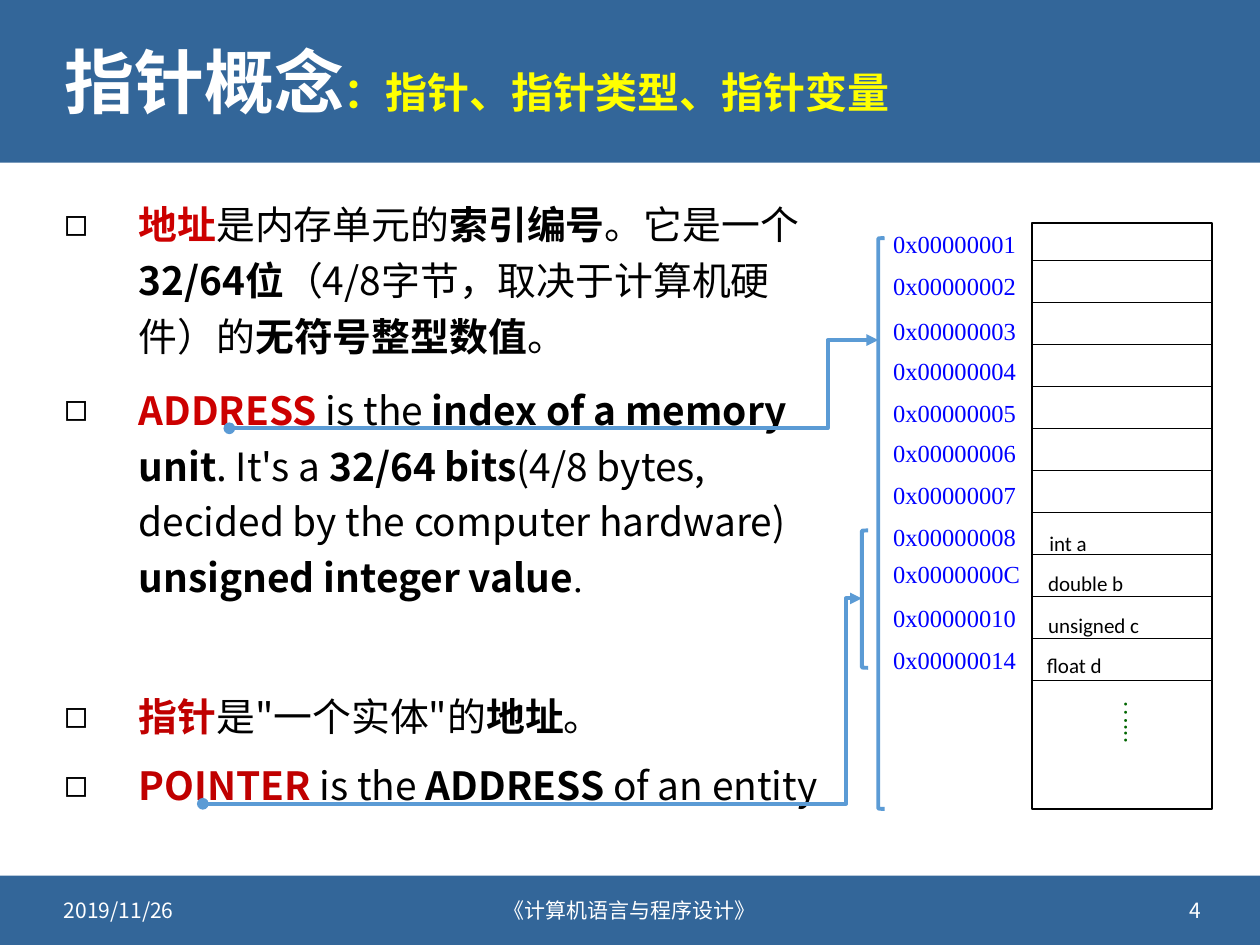
"""Build the slide on pointers, pointer types and pointer variables."""
from dataclasses import dataclass

from lxml import etree
from pptx import Presentation
from pptx.dml.color import RGBColor
from pptx.enum.shapes import MSO_CONNECTOR, MSO_SHAPE
from pptx.enum.text import MSO_ANCHOR, MSO_AUTO_SIZE, PP_ALIGN
from pptx.oxml.ns import qn
from pptx.util import Inches, Pt

RECTANGLE, BRACKET = MSO_SHAPE.RECTANGLE, MSO_SHAPE.LEFT_BRACKET
STRAIGHT, ELBOW = MSO_CONNECTOR.STRAIGHT, MSO_CONNECTOR.ELBOW
TOP, MIDDLE = MSO_ANCHOR.TOP, MSO_ANCHOR.MIDDLE
LEFT, CENTER, RIGHT = PP_ALIGN.LEFT, PP_ALIGN.CENTER, PP_ALIGN.RIGHT
NO_AUTOFIT = MSO_AUTO_SIZE.NONE

BAND_BLUE = RGBColor(0x33, 0x66, 0x99)
BRACKET_BLUE = RGBColor(0x5B, 0x9B, 0xD5)
ADDRESS_BLUE = RGBColor(0x00, 0x00, 0xFF)
WHITE = RGBColor(0xFF, 0xFF, 0xFF)
BLACK = RGBColor(0x00, 0x00, 0x00)
YELLOW = RGBColor(0xFF, 0xFF, 0x00)
RED = RGBColor(0xCC, 0x00, 0x00)
DARK_RED = RGBColor(0xC0, 0x00, 0x00)
GREEN = RGBColor(0x00, 0x66, 0x00)
SANS, SERIF, LABEL = "Noto Sans CJK SC", "Times New Roman", "Calibri"


@dataclass
class Style:
    size: float
    color: RGBColor
    name: str = SANS
    bold: bool = False


@dataclass
class Bullet:
    runs: list
    line_spacing: float
    space_before: float


@dataclass
class Label:
    text: str
    left: float
    top: float
    width: float
    height: float
    style: Style
    align: PP_ALIGN = LEFT
    anchor: MSO_ANCHOR = TOP


@dataclass
class Pointer:
    bracket: tuple
    start: tuple
    end: tuple
    bend: int


PLAIN = Style(22.2, BLACK)
STRONG = Style(22.2, BLACK, bold=True)
KEY = Style(22.2, RED, bold=True)
DARK_KEY = Style(22.2, DARK_RED, bold=True)
FOOTER = Style(12, WHITE)
ADDRESS = Style(14, ADDRESS_BLUE, SERIF)
VARIABLE = Style(12, BLACK, LABEL)

TITLE = [("指针概念", Style(40, WHITE, bold=True)),
         ("：指针、指针类型、指针变量", Style(24, YELLOW, bold=True))]
BULLETS = [
    Bullet([("地址", KEY), ("是内存单元的", PLAIN), ("索引编号", STRONG),
            ("。它是一个", PLAIN), ("32/64位", STRONG),
            ("（4/8字节，取决于计算机硬件）的", PLAIN),
            ("无符号整型数值", STRONG), ("。", PLAIN)], 1.2, 0),
    Bullet([("ADDRESS ", KEY), ("is the ", PLAIN),
            ("index of a memory unit", STRONG), (". It's a ", PLAIN),
            ("32/64 bits", STRONG),
            ("(4/8 bytes, decided by the computer hardware) ", PLAIN),
            ("unsigned integer value", STRONG),
            (".", Style(22.2, BLACK, SERIF))], 1.2, 10),
    Bullet([("指针", DARK_KEY), ("是\"一个实体\"的", PLAIN),
            ("地址", STRONG), ("。", PLAIN)], 1.1, 50),
    Bullet([("POINTER ", DARK_KEY), ("is the ", PLAIN),
            ("ADDRESS ", STRONG), ("of an entity", PLAIN)], 1.1, 10),
]
FOOTERS = [
    Label("2019/11/26", 0.41, 7.02, 2.4, 0.4, FOOTER, LEFT, MIDDLE),
    Label("《计算机语言与程序设计》", 3.2, 7.02, 3.6, 0.4, FOOTER, CENTER, MIDDLE),
    Label("4", 7.23, 7.02, 2.4, 0.4, FOOTER, RIGHT, MIDDLE),
]
ADDRESSES = {"01": 1.77, "02": 2.1, "03": 2.46, "04": 2.78, "05": 3.11, "06": 3.43,
             "07": 3.76, "08": 4.09, "0C": 4.39, "10": 4.74, "14": 5.07}
VARIABLES = [("int a", 8.23, 4.16), ("double b", 8.22, 4.48),
             ("unsigned c", 8.22, 4.81), ("float d", 8.21, 5.13)]
POINTERS = [
    Pointer((6.97, 1.89, 0.05, 4.53), (1.82, 3.4), (6.97, 2.7), 92200),
    Pointer((6.84, 4.21, 0.05, 1.09), (1.61, 6.38), (6.84, 4.75), 97600),
]


def add_runs(paragraph, runs: list) -> None:
    for text, style in runs:
        run = paragraph.add_run()
        run.text = text
        values = {"name": style.name, "size": Pt(style.size), "bold": style.bold}
        for attribute, value in values.items():
            setattr(run.font, attribute, value)
        run.font.color.rgb = style.color
        properties = run._r.get_or_add_rPr()
        etree.SubElement(properties, qn("a:ea"), typeface=style.name)


def place(shape, *box: float) -> None:
    for attribute, value in zip(("left", "top", "width", "height"), box):
        setattr(shape, attribute, Inches(value))


def add_label(slide, label: Label):
    box = (label.left, label.top, label.width, label.height)
    shape = slide.shapes.add_textbox(*map(Inches, box))
    shape.text_frame.word_wrap = True
    shape.text_frame.vertical_anchor = label.anchor
    paragraph = shape.text_frame.paragraphs[0]
    paragraph.alignment = label.align
    add_runs(paragraph, [(label.text, label.style)])
    return shape


def add_band(slide, top: float, height: float) -> None:
    band = slide.shapes.add_shape(RECTANGLE, 0, Inches(top), Inches(10), Inches(height))
    band.shadow.inherit = False
    band.fill.solid()
    band.fill.fore_color.rgb = BAND_BLUE
    band.line.fill.background()
    slide.shapes._spTree.insert(2, band._element)


def add_outline(slide, kind, box: tuple, color: RGBColor, width: float) -> None:
    shape = slide.shapes.add_shape(kind, *map(Inches, box))
    shape.shadow.inherit = False
    shape.fill.background()
    shape.line.color.rgb = color
    shape.line.width = Pt(width)


def add_line(slide, kind, start: tuple, end: tuple, color: RGBColor, width: float):
    line = slide.shapes.add_connector(kind, *map(Inches, start + end))
    line.line.color.rgb = color
    line.line.width = Pt(width)
    etree.SubElement(line._element.spPr, qn("a:effectLst"))
    return line


def add_pointer(slide, pointer: Pointer) -> None:
    add_outline(slide, BRACKET, pointer.bracket, BRACKET_BLUE, 2.25)
    line = add_line(slide, ELBOW, pointer.start, pointer.end, BRACKET_BLUE, 2.25)
    adjustments = line._element.spPr.find(qn("a:prstGeom")).get_or_add_avLst()
    etree.SubElement(adjustments, qn("a:gd"), name="adj1", fmla=f"val {pointer.bend}")
    outline = line.line._get_or_add_ln()
    etree.SubElement(outline, qn("a:headEnd"), type="oval")
    etree.SubElement(outline, qn("a:tailEnd"), type="triangle")


def fill_title(title) -> None:
    place(title, 0.41, 0.19, 9.19, 0.99)
    title.text_frame.auto_size = NO_AUTOFIT
    title.text_frame.vertical_anchor = MIDDLE
    paragraph = title.text_frame.paragraphs[0]
    paragraph.alignment = LEFT
    paragraph.line_spacing = 0.9
    add_runs(paragraph, TITLE)


def fill_body(body) -> None:
    place(body, 0.41, 1.47, 6.39, 5.28)
    frame = body.text_frame
    frame.auto_size = NO_AUTOFIT
    for index, bullet in enumerate(BULLETS):
        paragraph = frame.add_paragraph() if index else frame.paragraphs[0]
        properties = paragraph._p.get_or_add_pPr()
        properties.set("marL", str(Inches(0.59)))
        properties.set("indent", str(-Inches(0.59)))
        color = etree.SubElement(properties, qn("a:buClr"))
        etree.SubElement(color, qn("a:srgbClr"), val=str(BLACK))
        etree.SubElement(properties, qn("a:buChar"), char="◻")
        paragraph.line_spacing = bullet.line_spacing
        paragraph.space_before = Pt(bullet.space_before)
        add_runs(paragraph, bullet.runs)


def add_memory(slide) -> None:
    add_outline(slide, RECTANGLE, (8.19, 1.77, 1.43, 4.65), BLACK, 0.75)
    for row in range(11):
        top = 2.07 + row * 0.333
        add_line(slide, STRAIGHT, (8.19, top), (9.62, top), BLACK, 0.75)
    dots = add_label(slide, Label("…...", 8.84, 5.46, 0.33, 0.6, Style(14, GREEN, SERIF)))
    dots.text_frame._txBody.bodyPr.set("vert", "eaVert")
    for digits, top in ADDRESSES.items():
        add_label(slide, Label(f"0x000000{digits}", 6.99, top, 1.25, 0.34, ADDRESS))
    for text, left, top in VARIABLES:
        add_label(slide, Label(text, left, top, 1.42, 0.3, VARIABLE))


def main() -> None:
    presentation = Presentation()
    presentation.slide_width, presentation.slide_height = Inches(10), Inches(7.5)
    slide = presentation.slides.add_slide(presentation.slide_layouts[1])
    add_band(slide, 0, 1.29)
    add_band(slide, 6.95, 0.55)
    fill_title(slide.shapes.title)
    fill_body(slide.placeholders[1])
    for footer in FOOTERS:
        add_label(slide, footer)
    add_memory(slide)
    for pointer in POINTERS:
        add_pointer(slide, pointer)
    presentation.save("out.pptx")


if __name__ == "__main__":
    main()
